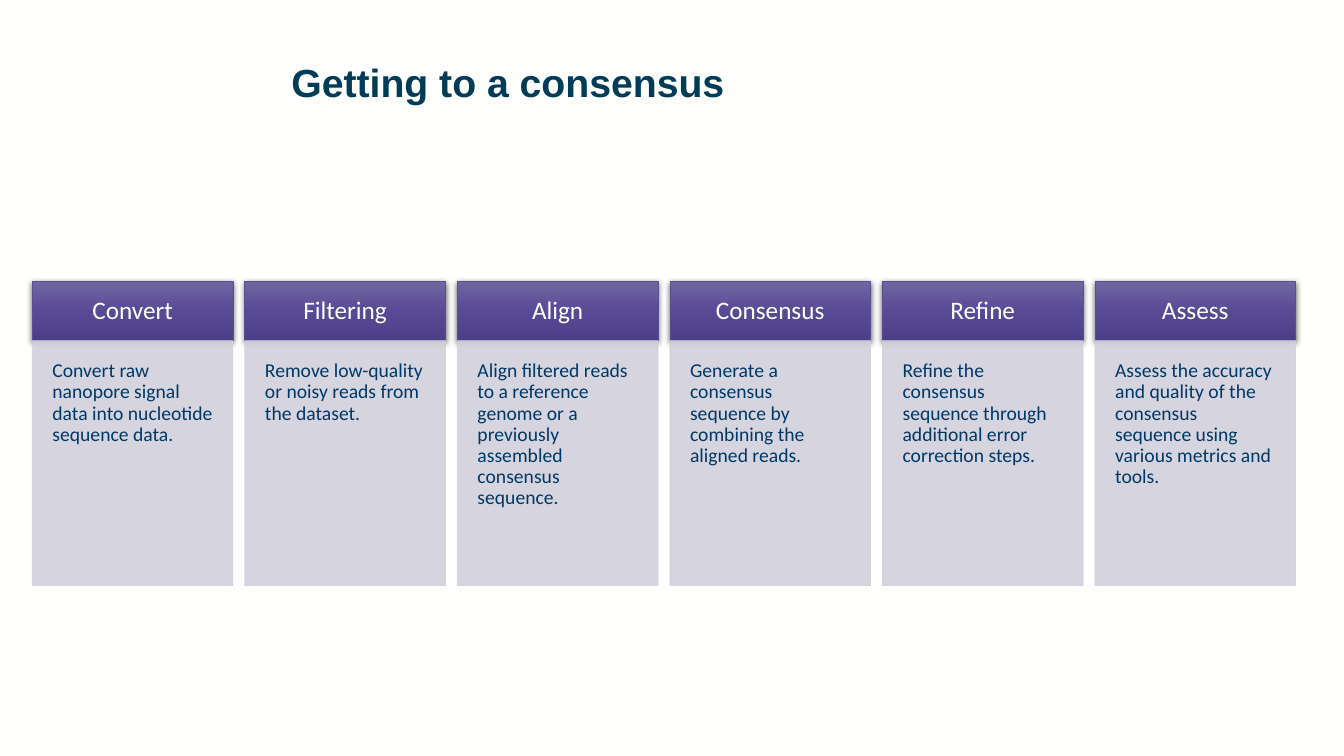
from lxml import etree
from pptx import Presentation
from pptx.dml.color import RGBColor
from pptx.enum.shapes import MSO_SHAPE
from pptx.enum.text import MSO_ANCHOR, PP_ALIGN
from pptx.oxml import parse_xml
from pptx.oxml.ns import nsdecls, qn
from pptx.util import Inches, Pt

RECT = MSO_SHAPE.RECTANGLE
TOP, MIDDLE = MSO_ANCHOR.TOP, MSO_ANCHOR.MIDDLE
LEFT, CENTER = PP_ALIGN.LEFT, PP_ALIGN.CENTER

TITLE = "Getting to a consensus"
STEPS = [
    ("Convert", "Convert raw nanopore signal data into nucleotide sequence data."),
    ("Filtering", "Remove low-quality or noisy reads from the dataset."),
    ("Align", "Align filtered reads to a reference genome or a previously "
              "assembled consensus sequence."),
    ("Consensus", "Generate a consensus sequence by combining the aligned reads."),
    ("Refine", "Refine the consensus sequence through additional error "
               "correction steps."),
    ("Assess", "Assess the accuracy and quality of the consensus sequence using "
               "various metrics and tools."),
]

WHITE, NAVY, TITLE_BLUE = "FFFFFE", "003865", "003B58"
HEADER_STOPS = [(0, "7066A0"), (50, "594A96"), (100, "4D3E89")]
HEADER_LINE, BODY_FILL = "5B4D93", "D2D0DC"

FIRST_LEFT, LAST_LEFT, COLUMN_WIDTH = 0.32, 10.86, 1.99
HEADER_TOP, HEADER_HEIGHT, BODY_HEIGHT = 2.79, 0.59, 2.43
PITCH = (LAST_LEFT - FIRST_LEFT) / (len(STEPS) - 1)


def rgb(color):
    return RGBColor.from_string(color)


def write(shape, text, size, color, font="Calibri", bold=False, align=LEFT,
          anchor=TOP, inset=None):
    tf = shape.text_frame
    tf.word_wrap = True
    tf.vertical_anchor = anchor
    if inset is not None:
        tf.margin_left = tf.margin_right = Inches(inset)
        tf.margin_top = tf.margin_bottom = Inches(inset)
    p = tf.paragraphs[0]
    p.alignment = align
    p.line_spacing = 0.9
    r = p.add_run()
    r.text = text
    r.font.size, r.font.name, r.font.bold = Pt(size), font, bold
    r.font.color.rgb = rgb(color)


def add_box(s, left, top, height, line):
    box = s.shapes.add_shape(RECT, Inches(left), Inches(top),
                             Inches(COLUMN_WIDTH), Inches(height))
    box.shadow.inherit = False
    box.line.color.rgb = rgb(line)
    box.line.width = Pt(0.5)
    return box


def set_gradient(shape, stops):
    """Fill from top to bottom through (percent, colour) stops."""
    marks = "".join(f'<a:gs pos="{pos * 1000}"><a:srgbClr val="{color}"/></a:gs>'
                    for pos, color in stops)
    spPr = shape._element.spPr
    spPr.find(qn("a:prstGeom")).addnext(parse_xml(
        f'<a:gradFill {nsdecls("a")} rotWithShape="1"><a:gsLst>{marks}</a:gsLst>'
        '<a:lin ang="5400000" scaled="0"/></a:gradFill>'))


def add_shadow(shape):
    shape._element.spPr.find(qn("a:effectLst")).append(parse_xml(
        f'<a:outerShdw {nsdecls("a")} blurRad="{Pt(4.5)}" dist="{Pt(1.5)}" '
        'dir="5400000" algn="ctr" rotWithShape="0"><a:srgbClr val="000000">'
        '<a:alpha val="63000"/></a:srgbClr></a:outerShdw>'))


def set_opacity(shape, percent):
    """Apply to both the fill and the line."""
    for color in shape._element.spPr.iter(qn("a:srgbClr")):
        etree.SubElement(color, qn("a:alpha")).set("val", str(percent * 1000))


def add_step(s, left, name, detail):
    header = add_box(s, left, HEADER_TOP, HEADER_HEIGHT, HEADER_LINE)
    set_gradient(header, HEADER_STOPS)
    add_shadow(header)
    write(header, name, 18, WHITE, align=CENTER, anchor=MIDDLE, inset=0.16)

    body = add_box(s, left, HEADER_TOP + HEADER_HEIGHT, BODY_HEIGHT, BODY_FILL)
    body.fill.solid()
    body.fill.fore_color.rgb = rgb(BODY_FILL)
    set_opacity(body, 90)
    write(body, detail, 14, NAVY, inset=0.2)


def main():
    prs = Presentation()
    prs.slide_width, prs.slide_height = Inches(13.33), Inches(7.5)
    s = prs.slides.add_slide(prs.slide_layouts[5])
    s.background.fill.solid()
    s.background.fill.fore_color.rgb = rgb(WHITE)

    title = s.shapes.title
    title.left, title.top = Inches(2.79), Inches(0.58)
    title.width, title.height = Inches(10.07), Inches(0.97)
    write(title, TITLE, 28, TITLE_BLUE, font="Arial", bold=True)

    for i, (name, detail) in enumerate(STEPS):
        add_step(s, FIRST_LEFT + i * PITCH, name, detail)
    prs.save("out.pptx")


if __name__ == "__main__":
    main()
